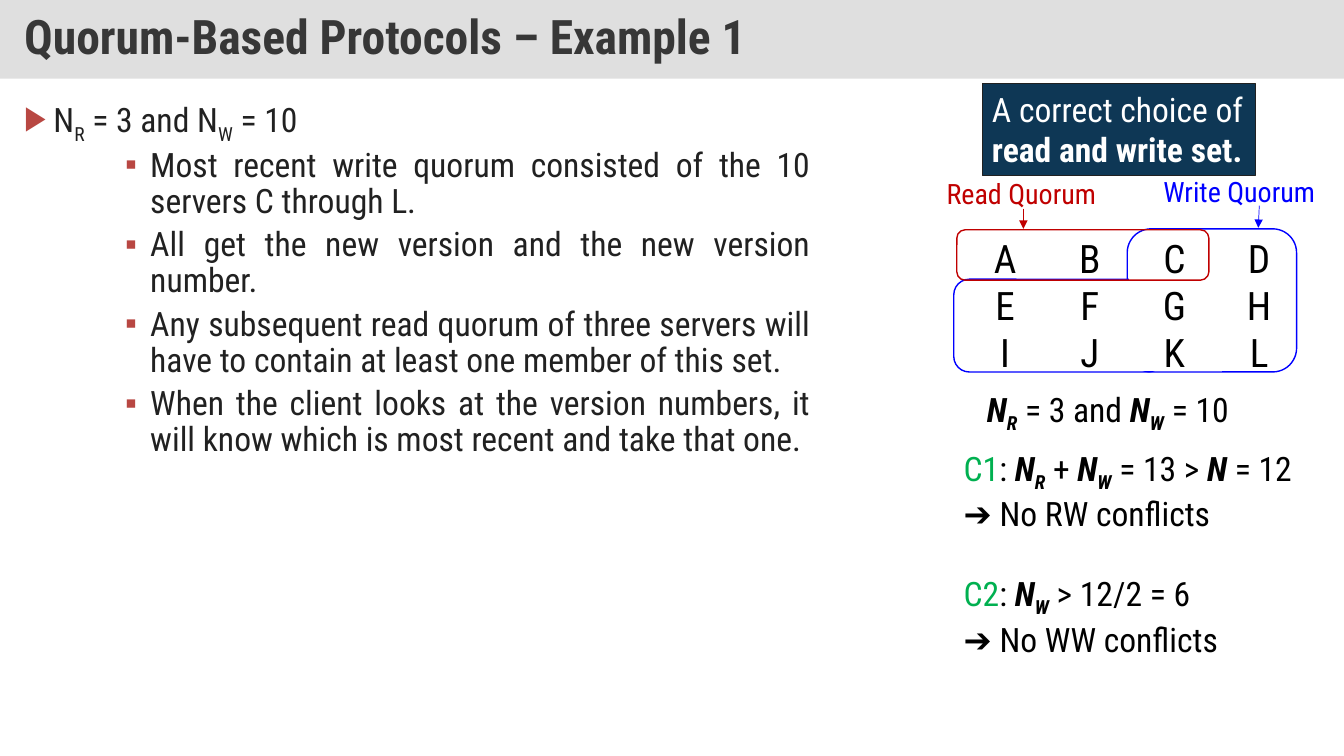
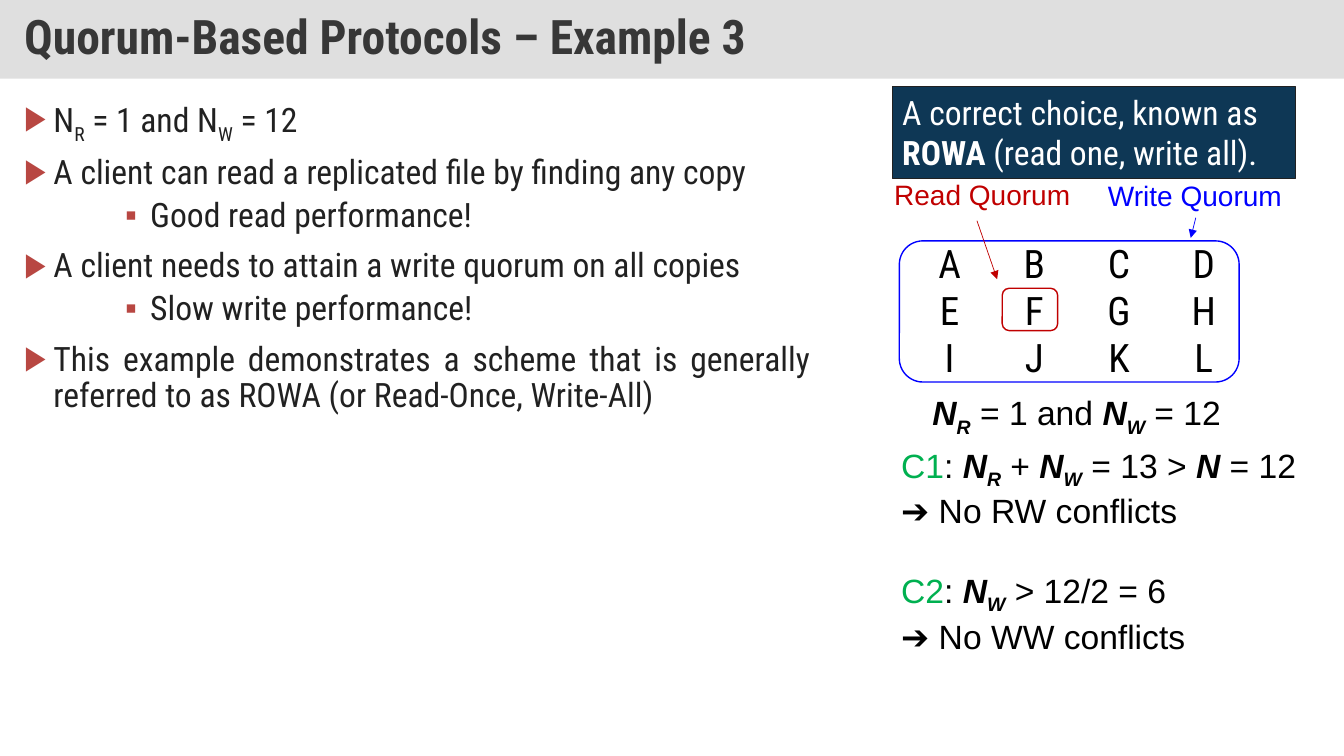
from lxml.etree import SubElement
from pptx import Presentation
from pptx.dml.color import RGBColor
from pptx.enum.shapes import MSO_CONNECTOR as Connector, MSO_SHAPE as Shape
from pptx.enum.text import MSO_ANCHOR as Anchor, MSO_AUTO_SIZE as AutoSize, PP_ALIGN as Align
from pptx.oxml.ns import qn
from pptx.util import Inches, Pt

# Shared look
WIDTH, HEIGHT = 13.33, 7.5
TITLE_BOX = (0, 0, WIDTH, 0.78)
BODY_BOX = (0.14, 0.94, 0.6 * WIDTH, 6.11)
CONDENSED, ARIAL = "Roboto Condensed", "Arial"
BAND, TITLE, INK, BLACK, WHITE = "C0C0C0", "373737", "212121", "000000", "FFFFFF"
BULLET, NAVY, RED, BLUE, GREEN = "B84742", "0E3755", "C00000", "0000FF", "00B050"

# Server letters: four columns at equal steps
SERVER_ROWS = ("ABCD", "EFGH", "IJKL")
FIRST_COLUMN, COLUMN_STEP = 0.55, 0.84
GRID_SIZE = (3.83, 2.17)

# Bullet levels: level, indent, hanging, space before, character
MAIN = (0, 0.29, 0.29, 10, "\u25b6")
SUB = (2, 1.25, 0.25, 5, "\u25aa")

# Run styles are letters: b bold, i italic, s subscript, g green
N, N_READ, N_WRITE = [("N", "bi")], [("N", "bi"), ("R", "bis")], [("N", "bi"), ("W", "bis")]


def colour(value):
    return RGBColor.from_string(value)


def inches(values):
    return [Inches(value) for value in values]


def inside(box, left, top, width, height):
    return box[0] + left, box[1] + top, width, height


def place(shape, box):
    shape.left, shape.top, shape.width, shape.height = inches(box)


def plain(text):
    return [(text, "")]


def write(paragraph, runs, size, ink, font=CONDENSED):
    paragraph.font.name = font
    paragraph.font.size = Pt(size)
    paragraph.font.color.rgb = colour(ink)
    for text, style in runs:
        run = paragraph.add_run()
        run.text = text
        if "b" in style:
            run.font.bold = True
        if "i" in style:
            run.font.italic = True
        if "g" in style:
            run.font.color.rgb = colour(GREEN)
        if "s" in style:
            run._r.get_or_add_rPr().set("baseline", "-25000")


def paragraphs(frame, count):
    return [frame.paragraphs[0]] + [frame.add_paragraph() for _ in range(count - 1)]


def add_shape(slide, kind, box, fill=None, line=None, line_width=1):
    shape = slide.shapes.add_shape(kind, *inches(box))
    shape.shadow.inherit = False
    if fill:
        shape.fill.solid()
        shape.fill.fore_color.rgb = colour(fill)
    else:
        shape.fill.background()
    if line:
        shape.line.color.rgb = colour(line)
        shape.line.width = Pt(line_width)
    else:
        shape.line.fill.background()
    return shape


def add_text(slide, box):
    frame = slide.shapes.add_textbox(*inches(box)).text_frame
    frame.word_wrap = False
    frame.auto_size = AutoSize.SHAPE_TO_FIT_TEXT
    return frame


def add_arrow(slide, start, end, ink):
    arrow = slide.shapes.add_connector(Connector.STRAIGHT, *inches(start + end))
    arrow.line.color.rgb = colour(ink)
    arrow.line.width = Pt(0.5)
    SubElement(arrow.line._get_or_add_ln(), qn("a:tailEnd"), type="triangle")
    SubElement(arrow._element.spPr, qn("a:effectLst"))


# Title band
def title_band(slide, box, text):
    title = slide.shapes.title
    place(title, box)
    title.fill.solid()
    title.fill.fore_color.rgb = colour(BAND)
    band_colour = title._element.spPr.find(qn("a:solidFill"))[0]
    SubElement(band_colour, qn("a:alpha"), val="50000")
    frame = title.text_frame
    frame.auto_size = AutoSize.NONE
    frame.vertical_anchor = Anchor.MIDDLE
    frame.margin_left = frame.margin_right = Inches(0.24)
    frame.margin_top = frame.margin_bottom = Inches(0.12)
    paragraph = frame.paragraphs[0]
    paragraph.alignment = Align.LEFT
    paragraph.line_spacing = 0.9
    write(paragraph, [(text, "b")], 34, TITLE)


# Bulleted list
def bullet_list(slide, box, items):
    body = slide.placeholders[1]
    place(body, box)
    frame = body.text_frame
    frame.auto_size = AutoSize.NONE
    for paragraph, (kind, runs) in zip(paragraphs(frame, len(items)), items):
        level, indent, hanging, space, character = kind
        paragraph.level = level
        paragraph.alignment = Align.JUSTIFY
        paragraph.line_spacing = 0.9
        paragraph.space_before = Pt(space)
        properties = paragraph._p.get_or_add_pPr()
        properties.set("marL", str(Inches(indent)))
        properties.set("indent", str(-Inches(hanging)))
        bullet_colour = SubElement(properties, qn("a:buClr"))
        SubElement(bullet_colour, qn("a:srgbClr"), val=BULLET)
        SubElement(properties, qn("a:buChar"), char=character)
        write(paragraph, runs, 24, INK)


def quorum_sizes(read, write_count):
    return [("N", ""), ("R", "s"), (f" = {read} and N", ""), ("W", "s"), (f" = {write_count}", "")]


# Navy verdict box
def verdict(slide, box, runs):
    frame = add_shape(slide, Shape.RECTANGLE, box, NAVY, INK, 0.75).text_frame
    frame.word_wrap = True
    frame.vertical_anchor = Anchor.TOP
    frame.paragraphs[0].alignment = Align.LEFT
    write(frame.paragraphs[0], runs, 24, WHITE)


# Quorum name with its arrow
def quorum_label(slide, box, text, ink, font, start, end):
    add_arrow(slide, start, end, ink)
    write(add_text(slide, box).paragraphs[0], plain(text), 20, ink, font)


def server_grid(slide, box):
    frame = add_text(slide, box)
    frame.auto_size = AutoSize.NONE
    frame.vertical_anchor = Anchor.MIDDLE
    frame.word_wrap = True
    for paragraph, letters in zip(paragraphs(frame, len(SERVER_ROWS)), SERVER_ROWS):
        paragraph.alignment = Align.LEFT
        tabs = SubElement(paragraph._p.get_or_add_pPr(), qn("a:tabLst"))
        for column in range(len(letters)):
            position = Inches(FIRST_COLUMN + column * COLUMN_STEP)
            SubElement(tabs, qn("a:tab"), pos=str(position), algn="ctr")
        write(paragraph, plain("\t" + "\t".join(letters)), 28, BLACK)


def outline(slide, box, ink):
    add_shape(slide, Shape.ROUNDED_RECTANGLE, box, line=ink)


# Sizes chosen, then the two conditions
def conditions(slide, sizes_box, checks_box, font, read, write_count):
    sizes = N_READ + plain(f" = {read} and ") + N_WRITE + plain(f" = {write_count}")
    write(add_text(slide, sizes_box).paragraphs[0], sizes, 24, BLACK, font)
    total = plain(f" = {read + write_count} > ") + N + plain(" = 12")
    checks = [
        [("C1", "g"), (": ", "")] + N_READ + plain(" + ") + N_WRITE + total,
        plain("\u2794 No RW conflicts"),
        [("C2", "g"), (": ", "")] + N_WRITE + plain(" > 12/2 = 6"),
        plain("\u2794 No WW conflicts"),
    ]
    lines = paragraphs(add_text(slide, checks_box), len(checks))
    lines[2].space_before = Pt(28)
    for paragraph, runs in zip(lines, checks):
        write(paragraph, runs, 24, BLACK, font)


# Right-hand panels
def split_panel(slide, left, top):
    box = (left, top, *GRID_SIZE)
    outline(slide, inside(box, 1.86, 0.33, 1.68, 1.42), BLUE)
    outline(slide, inside(box, 0.14, 0.83, 2.08, 0.92), BLUE)
    # White covers join the two outlines into one area
    for cover in ((1.54, 0.85, 1.36, 0.89), (1.88, 0.58, 0.48, 0.42)):
        add_shape(slide, Shape.RECTANGLE, inside(box, *cover), WHITE)
    server_grid(slide, box)
    outline(slide, inside(box, 0.17, 0.34, 2.5, 0.5), RED)
    quorum_label(slide, inside(box, -0.03, -0.24, 1.7, 0.44), "Read Quorum", RED, CONDENSED,
                 (left + 0.83, top + 0.13), (left + 0.83, top + 0.33))
    quorum_label(slide, inside(box, 2.12, -0.26, 1.72, 0.44), "Write Quorum", BLUE, CONDENSED,
                 (left + 3.17, top + 0.1), (left + 3.16, top + 0.32))
    conditions(slide, inside(box, 0.37, 1.87, 2.67, 0.5),
               inside(box, 0.14, 2.45, 3.53, 2.12), CONDENSED, 3, 10)
    verdict(slide, inside(box, 0.42, -1.11, 2.71, 0.91),
            [("A correct choice of ", ""), ("read and write set.", "b")])


def whole_panel(slide, left, top):
    box = (left, top, *GRID_SIZE)
    server_grid(slide, box)
    outline(slide, inside(box, 0.15, 0.4, 3.37, 1.4), BLUE)
    outline(slide, inside(box, 1.17, 0.87, 0.55, 0.42), RED)
    quorum_label(slide, inside(box, 0, -0.28, 1.96, 0.44), "Read Quorum", RED, ARIAL,
                 (left + 0.92, top + 0.2), (left + 1.12, top + 0.78))
    quorum_label(slide, inside(box, 2.12, -0.27, 1.94, 0.44), "Write Quorum", BLUE, ARIAL,
                 (left + 3.09, top + 0.17), (left + 3.04, top + 0.37))
    conditions(slide, inside(box, 0.38, 1.85, 3.14, 0.5),
               inside(box, 0.07, 2.37, 4.2, 2.12), ARIAL, 1, 12)
    verdict(slide, inside(box, 0.08, -1.13, 4, 0.91),
            [("A correct choice, known as ", ""), ("ROWA", "b"), (" (read one, write all).", "")])


def example_slide(presentation, number, items, panel, left, top):
    slide = presentation.slides.add_slide(presentation.slide_layouts[1])
    title_band(slide, TITLE_BOX, f"Quorum-Based Protocols \u2013 Example {number}")
    bullet_list(slide, BODY_BOX, items)
    panel(slide, left, top)


presentation = Presentation()
presentation.slide_width, presentation.slide_height = inches((WIDTH, HEIGHT))

example_slide(presentation, 1, [
    (MAIN, quorum_sizes(3, 10)),
    (SUB, plain("Most recent write quorum consisted of the 10 servers C through L.")),
    (SUB, plain("All get the new version and the new version number.")),
    (SUB, plain("Any subsequent read quorum of three servers will have to contain "
                "at least one member of this set.")),
    (SUB, plain("When the client looks at the version numbers, it will know which is "
                "most recent and take that one.")),
], split_panel, 9.32, 1.94)

example_slide(presentation, 3, [
    (MAIN, quorum_sizes(1, 12)),
    (MAIN, plain("A client can read a replicated file by finding any copy")),
    (SUB, plain("Good read performance!")),
    (MAIN, plain("A client needs to attain a write quorum on all copies")),
    (SUB, plain("Slow write performance!")),
    (MAIN, plain("This example demonstrates a scheme that is generally referred to as "
                 "ROWA (or Read-Once, Write-All)")),
], whole_panel, 8.77, 1.99)

presentation.save("out.pptx")
